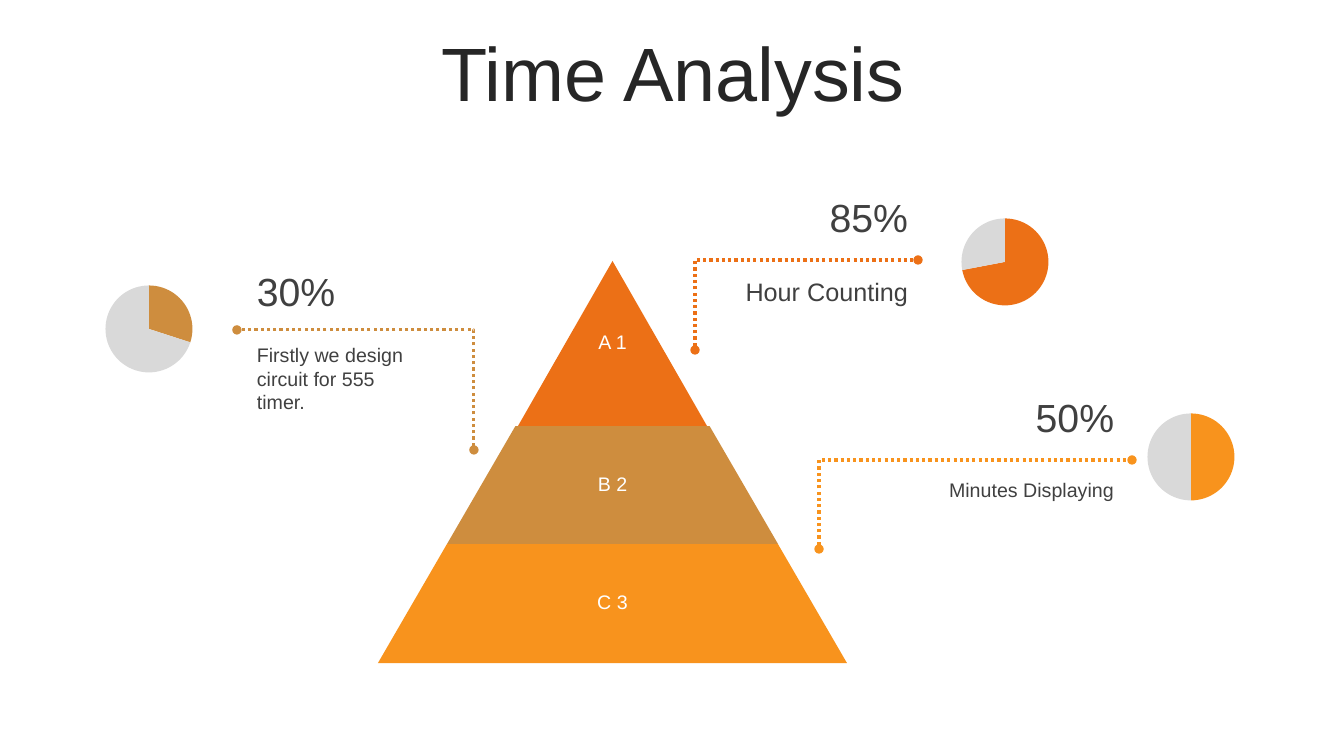
from dataclasses import dataclass

from lxml.etree import SubElement
from pptx import Presentation
from pptx.chart.data import CategoryChartData
from pptx.dml.color import RGBColor
from pptx.enum.chart import XL_CHART_TYPE as ChartType
from pptx.enum.dml import MSO_LINE_DASH_STYLE as Dash
from pptx.enum.shapes import MSO_CONNECTOR as Connector, MSO_SHAPE as Shape
from pptx.enum.text import MSO_ANCHOR as Anchor, MSO_AUTO_SIZE as AutoSize, PP_ALIGN as Align
from pptx.oxml.ns import qn
from pptx.util import Emu, Pt

SLIDE_W, SLIDE_H = 1344, 756
EMU_PER_PX = 12192000 / SLIDE_W


@dataclass(frozen=True)
class Theme:
    font: str = "Arial"
    orange: str = "EC7016"
    bronze: str = "CE8D3E"
    amber: str = "F8931D"
    rest: str = "D9D9D9"
    heading: str = "262626"
    body: str = "404040"
    white: str = "FFFFFF"
    title_pt: int = 54
    percent_pt: int = 28
    lead_pt: int = 18
    note_pt: int = 14


THEME = Theme()


@dataclass(frozen=True)
class Callout:
    percent: str
    note: str
    note_pt: int
    color: str
    share: int  # filled part of the pie, in percent
    pie: tuple
    line: tuple  # from the pyramid to the pie
    text_left: int
    percent_top: int
    note_top: int
    align: Align


CALLOUTS = [
    Callout("85%", "Hour Counting", THEME.lead_pt, THEME.orange, 72, (918, 204),
            (695, 350, 918, 260), 728, 188, 271, Align.RIGHT),
    Callout("50%", "Minutes Displaying", THEME.note_pt, THEME.amber, 50, (1104, 399),
            (819, 549, 1132, 460), 934, 388, 473, Align.RIGHT),
    Callout("30%", "Firstly we design circuit for 555 timer.", THEME.note_pt,
            THEME.bronze, 30, (62, 271),
            (474, 450, 237, 330), 247, 262, 338, Align.LEFT),
]

# label, colour, left, top, width, height
PYRAMID = [
    ("A 1", THEME.orange, 518, 261, 189, 165),
    ("B 2", THEME.bronze, 447, 426, 331, 118),
    ("C 3", THEME.amber, 378, 544, 469, 119),
]


def px(*lengths):
    return [Emu(round(length * EMU_PER_PX)) for length in lengths]


def rgb(color):
    return RGBColor.from_string(color)


def write(frame, text, size, color, align, anchor=Anchor.MIDDLE, spacing=None):
    frame.word_wrap = True
    frame.auto_size = AutoSize.NONE
    frame.vertical_anchor = anchor
    paragraph = frame.paragraphs[0]
    paragraph.alignment = align
    paragraph.line_spacing = spacing
    run = paragraph.add_run()
    run.text = text
    run.font.name = THEME.font
    run.font.size = Pt(size)
    run.font.color.rgb = rgb(color)


def add_title(slide, text):
    title = slide.shapes.title
    title.left, title.top, title.width, title.height = px(35, 37, 1276, 80)
    write(title.text_frame, text, THEME.title_pt, THEME.heading, Align.CENTER, spacing=0.9)


def add_tier(slide, label, color, *box):
    tier = slide.shapes.add_shape(Shape.TRAPEZOID, *px(*box))
    tier.adjustments[0] = 0.58
    tier.shadow.inherit = False
    tier.fill.solid()
    tier.fill.fore_color.rgb = rgb(color)
    tier.line.fill.background()
    caption = slide.shapes.add_textbox(*px(*box))
    write(caption.text_frame, label, THEME.note_pt, THEME.white, Align.CENTER, spacing=0.9)


def add_pie(slide, left, top, share, color):
    shares = CategoryChartData()
    shares.categories = ["1", "2"]
    shares.add_series("Series 1", (share, 100 - share))
    chart = slide.shapes.add_chart(ChartType.PIE, *px(left, top, 174, 116), shares).chart
    chart.has_legend = False
    chart.has_title = False
    chart.font.name = THEME.font
    chart.font.size = Pt(THEME.lead_pt)
    plot = chart.plots[0]
    plot.vary_by_categories = False
    for index, fill in enumerate((color, THEME.rest)):
        point = plot.series[0].points[index].format
        point.fill.solid()
        point.fill.fore_color.rgb = rgb(fill)
        point.line.fill.background()
    set_plot_area(chart, x=0.25, y=0.12, w=0.5, h=0.76)


def set_plot_area(chart, **fractions):
    plot_area = chart._chartSpace.chart.plotArea
    for old in plot_area.findall(qn("c:layout")):
        plot_area.remove(old)
    layout = SubElement(plot_area, qn("c:layout"))
    plot_area.insert(0, layout)
    manual = SubElement(layout, qn("c:manualLayout"))
    settings = {"layoutTarget": "inner", "xMode": "edge", "yMode": "edge", **fractions}
    for tag, value in settings.items():
        SubElement(manual, qn(f"c:{tag}")).set("val", str(value))


def add_leader(slide, ends, color):
    """Dotted elbow that leaves its start vertically, with a dot at both ends."""
    leader = slide.shapes.add_connector(Connector.ELBOW, *px(*ends))
    leader.line.color.rgb = rgb(color)
    leader.line.width = Pt(2.25)
    leader.line.dash_style = Dash.ROUND_DOT
    for tag in ("a:headEnd", "a:tailEnd"):
        SubElement(leader.line._get_or_add_ln(), qn(tag)).set("type", "oval")
    properties = leader._element.spPr
    SubElement(properties, qn("a:effectLst"))
    guides = properties.find(qn("a:prstGeom")).get_or_add_avLst()
    guide = SubElement(guides, qn("a:gd"))
    guide.set("name", "adj1")
    guide.set("fmla", "val 0")


def add_callout(slide, callout):
    add_pie(slide, *callout.pie, callout.share, callout.color)
    add_leader(slide, callout.line, callout.color)
    percent = slide.shapes.add_textbox(*px(callout.text_left, callout.percent_top, 190, 57))
    write(percent.text_frame, callout.percent, THEME.percent_pt, THEME.body, callout.align)
    note = slide.shapes.add_textbox(*px(callout.text_left, callout.note_top, 190, 40))
    write(note.text_frame, callout.note, callout.note_pt, THEME.body, callout.align, Anchor.TOP)


def main():
    deck = Presentation()
    deck.slide_width, deck.slide_height = px(SLIDE_W, SLIDE_H)
    slide = deck.slides.add_slide(deck.slide_layouts[5])
    add_title(slide, "Time Analysis")
    for tier in PYRAMID:
        add_tier(slide, *tier)
    for callout in CALLOUTS:
        add_callout(slide, callout)
    deck.save("out.pptx")


if __name__ == "__main__":
    main()
